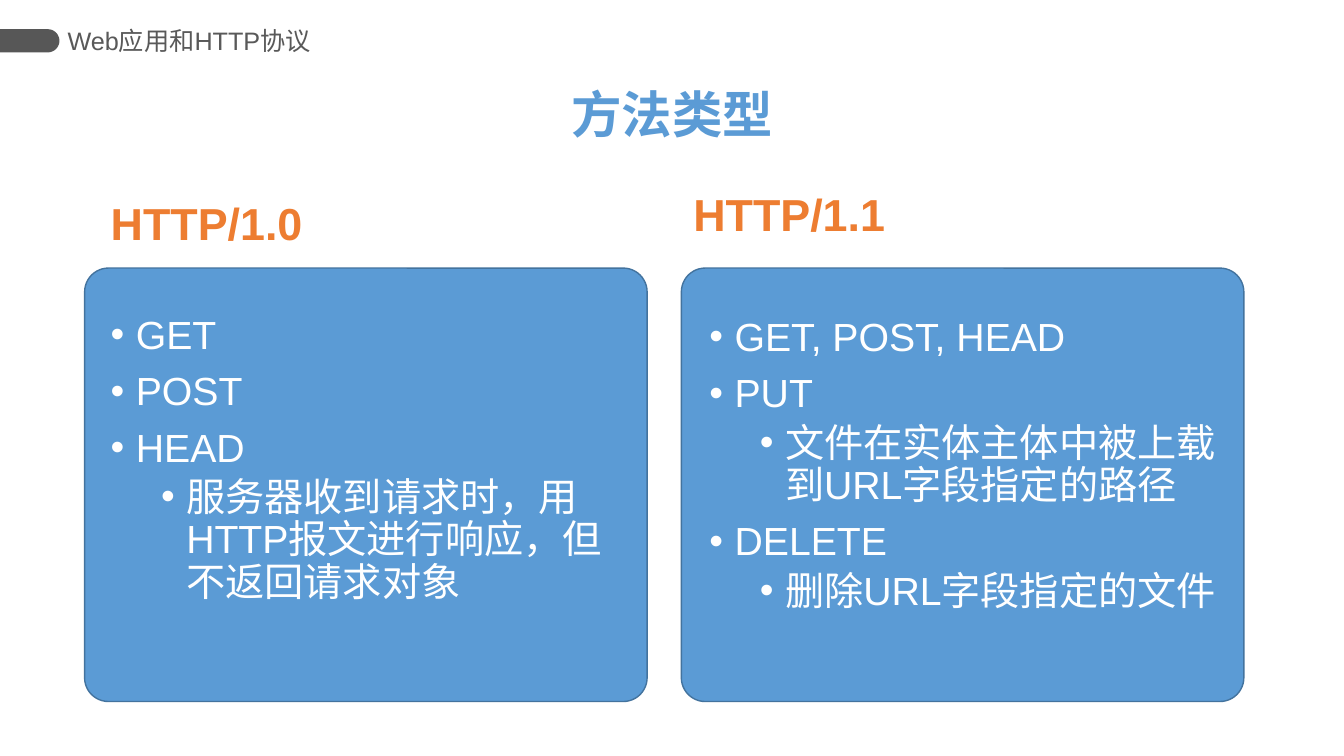
import math
from dataclasses import dataclass

from pptx import Presentation
from pptx import util as u
from pptx.dml.color import RGBColor
from pptx.enum import shapes, text
from pptx.oxml.ns import qn

WIDTH, HEIGHT = u.Inches(13.33), u.Inches(7.5)
COLUMNS, ROWS = 40, 30


@dataclass(frozen=True)
class Theme:
    """Colours, font and type sizes of the slide."""
    font: str = "Arial"
    blue: str = "5B9BD5"
    edge: str = "43739E"
    orange: str = "ED7D31"
    tab: str = "575757"
    grey: str = "595959"
    white: str = "FFFFFF"
    header: int = 18
    body: int = 28
    heading: int = 32
    title: int = 36


THEME = Theme()


def across(columns):
    """Turn grid columns into a length."""
    return round(WIDTH * columns / COLUMNS)


def down(rows):
    """Turn grid rows into a length."""
    return round(HEIGHT * rows / ROWS)


def place(left, top, width, height):
    """Turn a grid area into left, top, width and height."""
    return across(left), down(top), across(width), down(height)


def paint(shape, fill, line=None):
    """Give a shape a flat fill and an optional outline."""
    shape.shadow.inherit = False
    shape.fill.solid()
    shape.fill.fore_color.rgb = RGBColor.from_string(fill)
    if line:
        shape.line.color.rgb = RGBColor.from_string(line)
        shape.line.width = u.Pt(1)
    else:
        shape.line.fill.background()


def add_span(para, words, size, color, bold=False):
    """Add one styled run to a paragraph."""
    span = para.add_run()
    span.text = words
    span.font.name = THEME.font
    span.font.size = u.Pt(size)
    span.font.bold = bold
    span.font.color.rgb = RGBColor.from_string(color)


def add_box(page, area, wrap=True):
    """Add an empty text box and return its text frame."""
    frame = page.shapes.add_textbox(*place(*area)).text_frame
    frame.word_wrap = wrap
    return frame


def add_tab(page, left, top, width, height):
    """Draw the tab at the slide's edge with a rounded right end."""
    x, y, wide, high = place(left, top, width, height)
    radius = high / 2
    angles = [math.pi * (step / 24 - 0.5) for step in range(25)]
    arc = [(x + wide - radius + radius * math.cos(angle),
            y + radius + radius * math.sin(angle)) for angle in angles]
    outline = page.shapes.build_freeform(x, y)
    outline.add_line_segments(arc + [(x, y + high)], close=True)
    paint(outline.convert_to_shape(), THEME.tab)


def add_header(page, words, area):
    """Add the running header beside the tab."""
    frame = add_box(page, area)
    frame.margin_left = frame.margin_right = 0
    frame.vertical_anchor = text.MSO_ANCHOR.MIDDLE
    add_span(frame.paragraphs[0], words, THEME.header, THEME.grey)


def add_title(page, words, area):
    """Add the centred slide title."""
    para = add_box(page, area, wrap=False).paragraphs[0]
    para.alignment = text.PP_ALIGN.CENTER
    add_span(para, words, THEME.title, THEME.blue, bold=True)


def add_heading(page, words, area):
    """Add the heading above a panel."""
    para = add_box(page, area).paragraphs[0]
    add_span(para, words, THEME.heading, THEME.orange, bold=True)


def add_panel(page, area):
    """Add a rounded panel."""
    kind = shapes.MSO_SHAPE.ROUNDED_RECTANGLE
    panel = page.shapes.add_shape(kind, *place(*area))
    panel.adjustments[0] = 0.055
    paint(panel, THEME.blue, THEME.edge)


def add_bullet(para, level):
    """Set the bullet, indent and spacing of a list level."""
    para.level = level
    para.line_spacing = 0.9
    para.space_before = u.Pt(5 if level else 10)
    properties = para._p.get_or_add_pPr()
    properties.set("marL", str(u.Inches(0.25 + 0.5 * level)))
    properties.set("indent", str(u.Inches(-0.25)))
    for tag, key, value in (("a:buFont", "typeface", THEME.font),
                            ("a:buChar", "char", "•")):
        mark = properties.makeelement(qn(tag), {key: value})
        properties.append(mark)


def add_list(page, items, area):
    """Add a bulleted list of (level, words) items."""
    frame = add_box(page, area)
    for index, (level, words) in enumerate(items):
        para = frame.add_paragraph() if index else frame.paragraphs[0]
        add_bullet(para, level)
        add_span(para, words, THEME.body, THEME.white)


def main():
    """Build the slide and save it."""
    deck = Presentation()
    deck.slide_width, deck.slide_height = WIDTH, HEIGHT
    page = deck.slides.add_slide(deck.slide_layouts[6])

    add_tab(page, 0, 1.16, 1.77, 0.92)
    add_header(page, "Web应用和HTTP协议", (2.01, 0.76, 7.89, 1.68))
    add_title(page, "方法类型", (16.68, 3.12, 6.66, 2.84))

    old_methods = [
        (0, "GET"),
        (0, "POST"),
        (0, "HEAD"),
        (1, "服务器收到请求时，用HTTP报文进行响应，但不返回请求对象"),
    ]
    new_methods = [
        (0, "GET, POST, HEAD"),
        (0, "PUT"),
        (1, "文件在实体主体中被上载到URL字段指定的路径"),
        (0, "DELETE"),
        (1, "删除URL字段指定的文件"),
    ]
    versions = [
        ("HTTP/1.0", (3, 7.56), 2.52, old_methods, (3, 12.32, 15.81)),
        ("HTTP/1.1", (20.34, 7.2), 20.28, new_methods, (20.82, 12.4, 16.53)),
    ]
    for name, corner, panel_left, methods, list_area in versions:
        add_panel(page, (panel_left, 10.64, 16.74, 17.2))
        add_heading(page, name, (*corner, 8.76, 2.56))
        add_list(page, methods, (*list_area, 15))

    deck.save("out.pptx")


if __name__ == "__main__":
    main()
